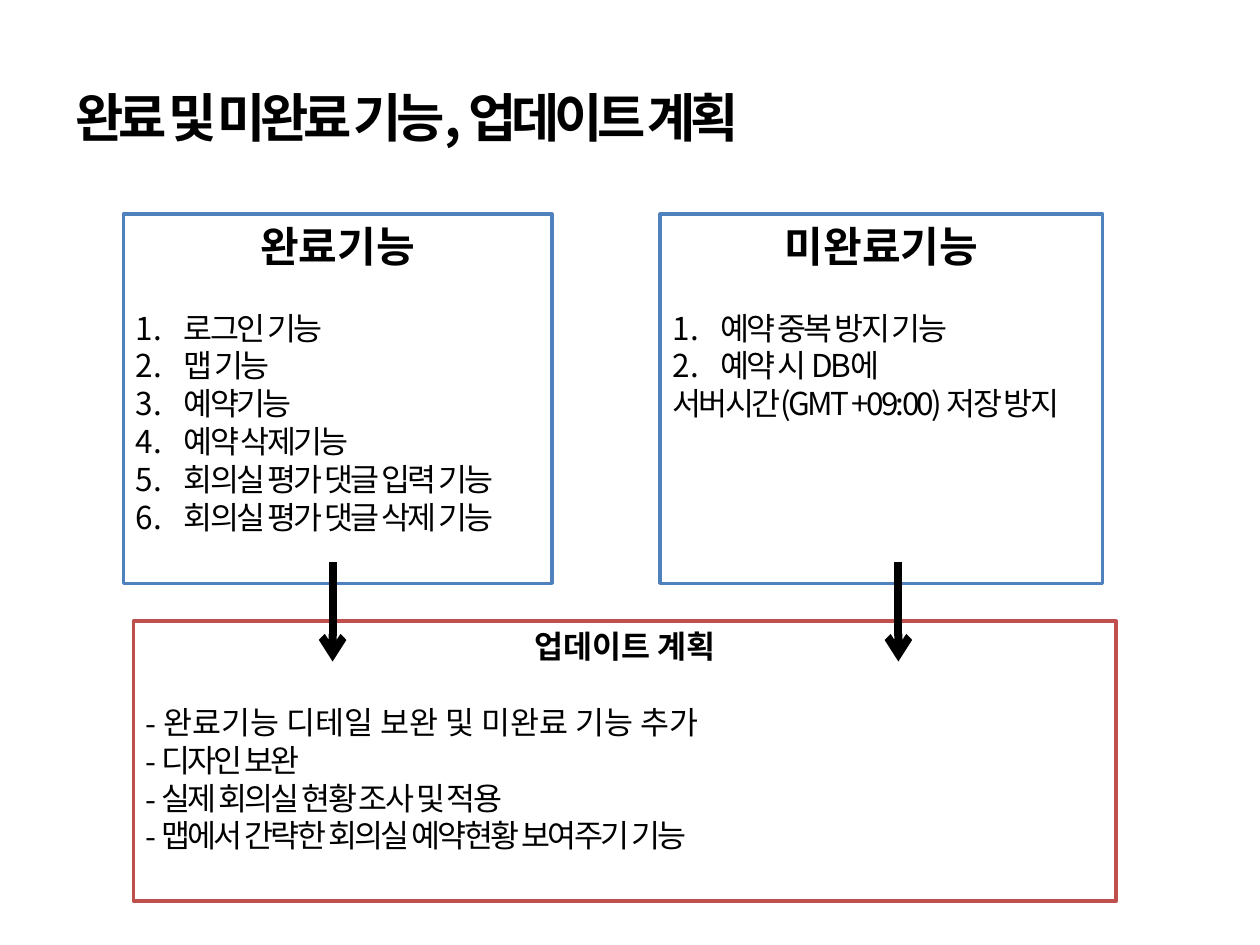
from dataclasses import dataclass

from pptx import Presentation
from pptx.dml.color import RGBColor
from pptx.enum.shapes import MSO_CONNECTOR, MSO_SHAPE
from pptx.enum.text import MSO_ANCHOR, PP_ALIGN
from pptx.oxml.ns import qn
from pptx.util import Inches, Pt

RECT, STRAIGHT = MSO_SHAPE.RECTANGLE, MSO_CONNECTOR.STRAIGHT
TOP, MIDDLE = MSO_ANCHOR.TOP, MSO_ANCHOR.MIDDLE
LEFT, CENTER, JUSTIFY = PP_ALIGN.LEFT, PP_ALIGN.CENTER, PP_ALIGN.JUSTIFY

BLACK = RGBColor(0x00, 0x00, 0x00)
WHITE = RGBColor(0xFF, 0xFF, 0xFF)
BLUE = RGBColor(0x4F, 0x81, 0xBD)
RED = RGBColor(0xC0, 0x50, 0x4D)

FONT = "Noto Sans CJK KR"
BODY = 18
LEADING = 1.2  # line pitch as a multiple of the text size
TIGHT = -1.5
INDENT = Inches(0.38)
SLIDE_W, SLIDE_H = Inches(10), Inches(7.5)

# Shared rows, as shares of the slide height
FEATURE_TOP, FEATURE_H = 1.7 / 7.5, 2.93 / 7.5
ARROW_TOP, ARROW_END = 4.46 / 7.5, 5.25 / 7.5


@dataclass(frozen=True)
class Item:
    text: str
    bullet: str = ""  # "1." numbers the item, other text is the bullet itself
    hanging: bool = False
    spacing: float = TIGHT


@dataclass(frozen=True)
class Panel:
    left: float
    top: float
    width: float
    height: float
    color: RGBColor
    heading: str
    heading_size: int
    items: tuple[Item, ...]


def numbered(*texts: str) -> tuple[Item, ...]:
    return tuple(Item(t, "1.", True) for t in texts)


PANELS = (
    Panel(0.098, FEATURE_TOP, 0.34, FEATURE_H, BLUE, "완료기능", 24,
          numbered("로그인 기능", "맵 기능", "예약기능", "예약 삭제기능",
                   "회의실 평가 댓글 입력 기능", "회의실 평가 댓글 삭제 기능")),
    Panel(0.524, FEATURE_TOP, 0.351, FEATURE_H, BLUE, "미완료기능", 24,
          numbered("예약 중복 방지 기능", "예약 시 DB에")
          + (Item("서버시간(GMT +09:00) 저장 방지", hanging=True),)),
    Panel(0.106, 4.93 / 7.5, 0.78, 2.22 / 7.5, RED, "업데이트 계획", BODY,
          (Item(" 완료기능 디테일 보완 및 미완료 기능 추가", "-", spacing=0),
           Item(" 디자인 보완", "-"),
           Item(" 실제 회의실 현황 조사 및 적용", "-"),
           Item(" 맵에서 간략한 회의실 예약현황 보여주기 기능", "-"))),
)
ARROW_COLUMNS = (0.264, 0.713)


def x(share: float) -> int:
    return round(SLIDE_W * share)


def y(share: float) -> int:
    return round(SLIDE_H * share)


def add_run(p, text: str, size: int, bold: bool = False, spacing: float = 0) -> None:
    r = p.add_run()
    r.text = text
    r.font.size, r.font.bold, r.font.name = Pt(size), bold, FONT
    r.font.color.rgb = BLACK
    rPr = r.font._element
    rPr.set("spc", str(round(spacing * 100)))
    ea = rPr.makeelement(qn("a:ea"), {"typeface": FONT})
    rPr.find(qn("a:latin")).addnext(ea)


def add_item(tf, item: Item) -> None:
    p = tf.add_paragraph()
    p.alignment = LEFT
    p.line_spacing = Pt(BODY * LEADING)
    pPr = p._p.get_or_add_pPr()
    if item.hanging:
        pPr.set("marL", str(INDENT))
        pPr.set("indent", str(-INDENT))
    if item.bullet:
        font = pPr.makeelement(qn("a:buFont"), {"typeface": FONT})
        if item.bullet == "1.":
            mark = pPr.makeelement(qn("a:buAutoNum"), {"type": "arabicPeriod"})
        else:
            mark = pPr.makeelement(qn("a:buChar"), {"char": item.bullet})
        pPr.extend([font, mark])
    add_run(p, item.text, BODY, spacing=item.spacing)


def add_title(slide, text: str) -> None:
    tf = slide.shapes.add_textbox(x(0.05), y(0.04), x(0.9), y(1 / 6)).text_frame
    tf.word_wrap, tf.vertical_anchor = True, MIDDLE
    p = tf.paragraphs[0]
    p.alignment = JUSTIFY
    add_run(p, text, 30, bold=True, spacing=-3)


def add_panel(slide, panel: Panel) -> None:
    s = slide.shapes.add_shape(RECT, x(panel.left), y(panel.top),
                               x(panel.width), y(panel.height))
    s.shadow.inherit = False
    s.fill.solid()
    s.fill.fore_color.rgb = WHITE
    s.line.color.rgb, s.line.width = panel.color, Pt(2)
    tf = s.text_frame
    # Wrapping keeps the list aligned with the panel's left inset
    tf.word_wrap, tf.vertical_anchor = True, TOP
    p = tf.paragraphs[0]
    p.alignment = CENTER
    p.line_spacing = Pt(panel.heading_size * LEADING)
    p.space_after = Pt(BODY * LEADING)
    add_run(p, panel.heading, panel.heading_size, bold=True)
    for item in panel.items:
        add_item(tf, item)


def add_arrow(slide, column: float) -> None:
    s = slide.shapes.add_connector(STRAIGHT, x(column), y(ARROW_TOP),
                                   x(column), y(ARROW_END))
    s.line.color.rgb, s.line.width = BLACK, Pt(4.5)
    ln = s.line._get_or_add_ln()
    ln.append(ln.makeelement(qn("a:tailEnd"), {"type": "arrow"}))
    spPr = s._element.spPr
    spPr.append(spPr.makeelement(qn("a:effectLst"), {}))


def main() -> None:
    prs = Presentation()
    prs.slide_width, prs.slide_height = SLIDE_W, SLIDE_H
    slide = prs.slides.add_slide(prs.slide_layouts[6])
    add_title(slide, "완료 및 미완료 기능, 업데이트 계획")
    # Feature lists and the plan they lead to
    for panel in PANELS:
        add_panel(slide, panel)
    # Arrows from the lists down to the plan
    for column in ARROW_COLUMNS:
        add_arrow(slide, column)
    prs.save("out.pptx")


if __name__ == "__main__":
    main()
